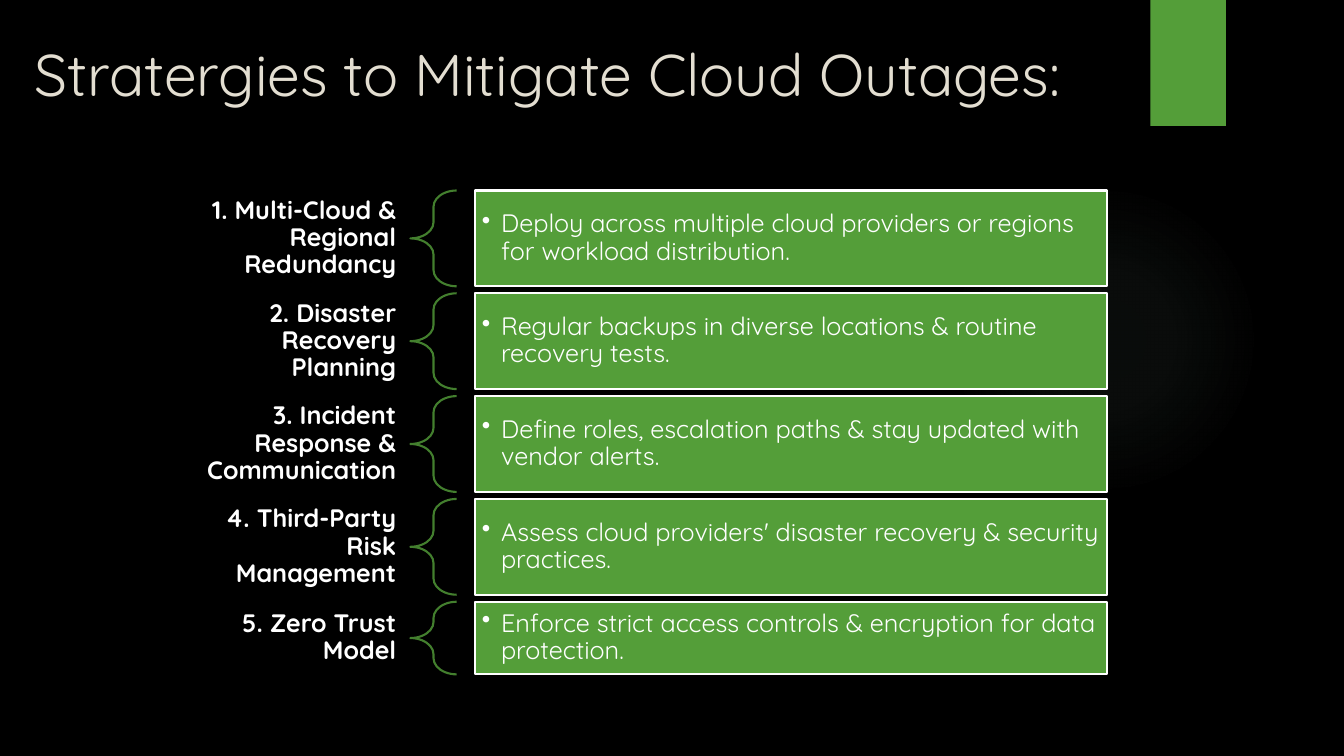
import pptx
import pptx.util
from lxml import etree
from pptx.dml.color import RGBColor
from pptx.enum.shapes import MSO_SHAPE
from pptx.enum.text import MSO_ANCHOR, PP_ALIGN
from pptx.oxml import parse_xml
from pptx.oxml.ns import qn
from pptx.util import Inches, Pt

TITLE = "Stratergies to Mitigate Cloud Outages:"
STRATEGIES = [  # heading, advice, row height
    ("1. Multi-Cloud & Regional Redundancy",
     "Deploy across multiple cloud providers or regions for workload distribution.", 0.95),
    ("2. Disaster Recovery Planning",
     "Regular backups in diverse locations & routine recovery tests.", 0.95),
    ("3. Incident Response & Communication",
     "Define roles, escalation paths & stay updated with vendor alerts.", 0.95),
    ("4. Third-Party Risk Management",
     "Assess cloud providers' disaster recovery & security practices.", 0.95),
    ("5. Zero Trust Model",
     "Enforce strict access controls & encryption for data protection.", 0.72),
]

FONT = "Quicksand"
BLACK = RGBColor(0x00, 0x00, 0x00)
WHITE = RGBColor(0xFF, 0xFF, 0xFF)
CREAM = RGBColor(0xE3, 0xDE, 0xD1)
GREEN = RGBColor(0x54, 0x9E, 0x39)
DARK_GREEN = RGBColor(0x43, 0x7F, 0x2E)
GLOW = RGBColor(0x87, 0xA8, 0x96)
GLOW_STOPS = [(0, 7), (36, 6), (69, 0)]  # position and opacity, percent

FIRST_TOP, ROW_GAP = 1.89, 0.07
HEADING_LEFT, HEADING_WIDTH = 1.76, 2.31
BRACE_LEFT, BRACE_WIDTH = 4.07, 0.46
ADVICE_LEFT, ADVICE_WIDTH = 4.71, 6.27
BULLET_INDENT = Inches(0.19)


def add_shape(page, kind, left, top, width, height, fill=None, line=None):
    shape = page.shapes.add_shape(
        kind, Inches(left), Inches(top), Inches(width), Inches(height))
    shape.shadow.inherit = False
    if fill is None:
        shape.fill.background()
    else:
        shape.fill.solid()
        shape.fill.fore_color.rgb = fill
    if line is None:
        shape.line.fill.background()
    else:
        shape.line.color.rgb = line
        shape.line.width = Pt(1.5)
    return shape


def add_text_box(page, left, top, width, height):
    return page.shapes.add_textbox(
        Inches(left), Inches(top), Inches(width), Inches(height))


def write(box, text, size, color, margins, align=PP_ALIGN.LEFT, bold=False):
    """Put one vertically centred paragraph in the box and return it."""
    frame = box.text_frame
    frame.word_wrap = True
    frame.vertical_anchor = MSO_ANCHOR.MIDDLE
    frame.margin_left = frame.margin_right = Inches(margins[0])
    frame.margin_top = frame.margin_bottom = Inches(margins[1])
    para = frame.paragraphs[0]
    para.text = text
    para.alignment = align
    para.line_spacing = 0.9
    para.font.name = FONT
    para.font.size = Pt(size)
    para.font.bold = bold
    para.font.color.rgb = color
    return para


def add_bullet(para):
    properties = para._p.get_or_add_pPr()
    properties.set("marL", str(BULLET_INDENT))
    properties.set("indent", str(-BULLET_INDENT))
    bullet = etree.Element(qn("a:buChar"), char="•")
    properties.insert_element_before(bullet, "a:tabLst", "a:defRPr", "a:extLst")


def add_glow(page):
    """Add the faint circle that fades out from its centre."""
    glow = add_shape(page, MSO_SHAPE.OVAL, 9.41, 1.83, 3.08, 3.08)
    stops = "".join(
        f'<a:gs pos="{position * 1000}"><a:srgbClr val="{GLOW}">'
        f'<a:alpha val="{opacity * 1000}"/></a:srgbClr></a:gs>'
        for position, opacity in GLOW_STOPS)
    gradient = parse_xml(
        '<a:gradFill xmlns:a="http://schemas.openxmlformats.org/drawingml/2006/main">'
        f'<a:gsLst>{stops}</a:gsLst><a:path path="circle">'
        '<a:fillToRect l="50000" t="50000" r="50000" b="50000"/></a:path></a:gradFill>')
    properties = glow._element.spPr
    properties.replace(properties.find(qn("a:noFill")), gradient)


def add_strategy(page, top, heading, advice, height):
    heading_box = add_text_box(page, HEADING_LEFT, top, HEADING_WIDTH, height)
    write(heading_box, heading, 18, WHITE, (0.14, 0.05), PP_ALIGN.RIGHT, bold=True)

    brace = add_shape(page, MSO_SHAPE.LEFT_BRACE, BRACE_LEFT, top,
                      BRACE_WIDTH, height, line=DARK_GREEN)
    brace.adjustments[0] = 0.35

    panel = add_shape(page, MSO_SHAPE.RECTANGLE, ADVICE_LEFT, top,
                      ADVICE_WIDTH, height, GREEN, WHITE)
    add_bullet(write(panel, advice, 18, WHITE, (0.07, 0.07)))


def main():
    deck = pptx.Presentation()
    deck.slide_width, deck.slide_height = Inches(13.33), Inches(7.5)
    page = deck.slides.add_slide(deck.slide_layouts[6])
    page.background.fill.solid()
    page.background.fill.fore_color.rgb = BLACK

    add_glow(page)
    add_shape(page, MSO_SHAPE.RECTANGLE, 11.41, 0, 0.75, 1.25, GREEN)
    title_box = add_text_box(page, 0.24, 0.3, 11.55, 0.93)
    write(title_box, TITLE, 42, CREAM, (0.1, 0.05))

    top = FIRST_TOP
    for heading, advice, height in STRATEGIES:
        add_strategy(page, top, heading, advice, height)
        top += height + ROW_GAP

    deck.save("out.pptx")


if __name__ == "__main__":
    main()
